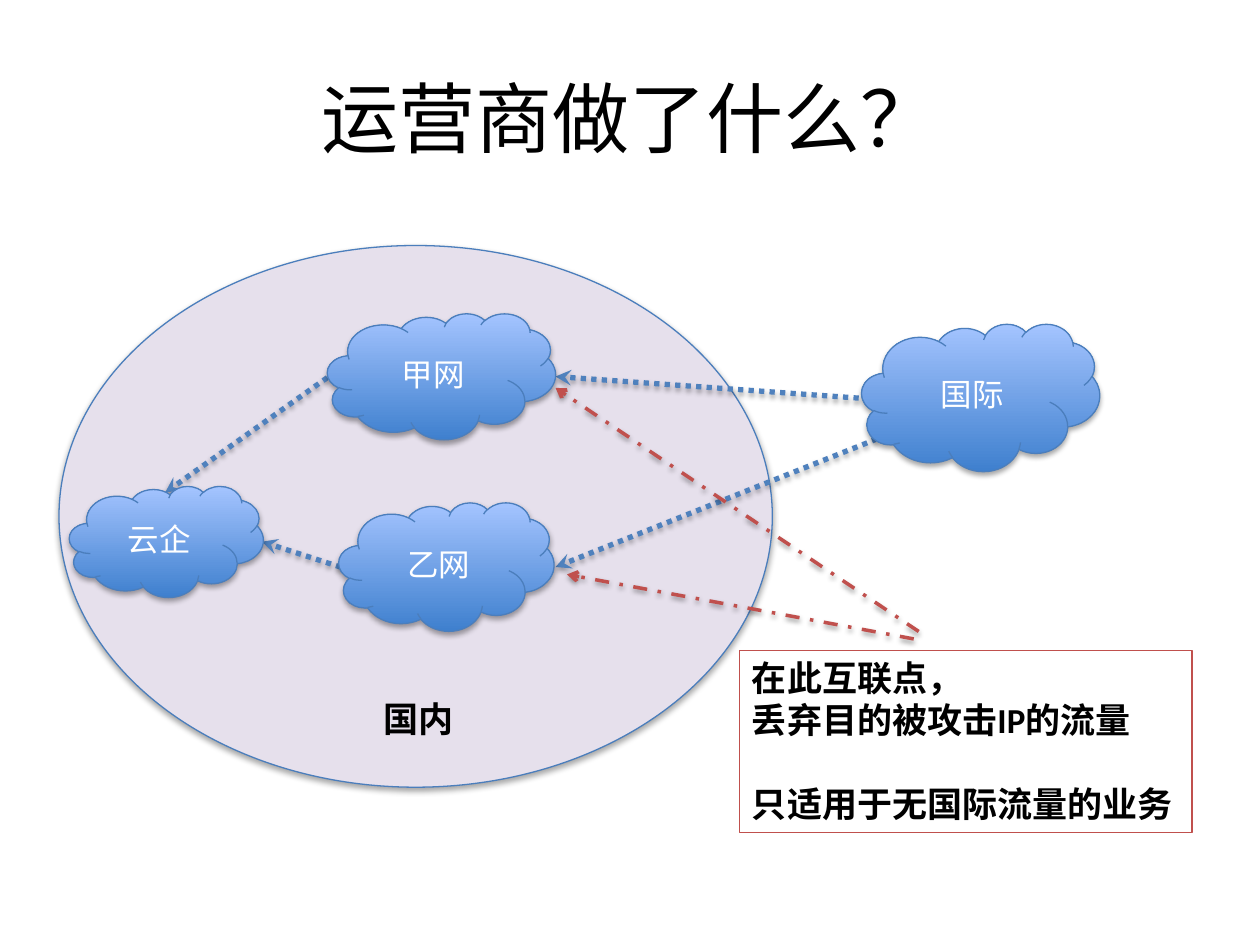
"""Builds a slide on how carriers drop attack traffic at interconnection points."""
from lxml import etree
from pptx import Presentation
from pptx.dml.color import RGBColor
from pptx.enum.dml import MSO_LINE
from pptx.enum.shapes import MSO_CONNECTOR, MSO_SHAPE
from pptx.enum.text import MSO_ANCHOR, MSO_AUTO_SIZE, PP_ALIGN
from pptx.oxml.ns import qn
from pptx.util import Cm, Pt

STRAIGHT = MSO_CONNECTOR.STRAIGHT
OVAL, CLOUD = MSO_SHAPE.OVAL, MSO_SHAPE.CLOUD
DOTTED, DASH_DOT = MSO_LINE.ROUND_DOT, MSO_LINE.DASH_DOT
MIDDLE, CENTER = MSO_ANCHOR.MIDDLE, PP_ALIGN.CENTER
FIT_SHAPE = MSO_AUTO_SIZE.SHAPE_TO_FIT_TEXT
FONT = "Calibri"
COLORS = {name: RGBColor.from_string(value) for name, value in {
    "text": "000000", "cloud_text": "FFFFFF", "region": "E6E0EC", "outline": "4B7EBC",
    "cloud_bottom": "3F80CE", "cloud_top": "A4C4FF", "traffic": "4F81BD", "drop": "C0504D",
}.items()}


def add_shadow(item, opacity, distance):
    effects = etree.SubElement(item._element.spPr, qn("a:effectLst"))
    shadow = etree.SubElement(effects, qn("a:outerShdw"), blurRad=str(Pt(3.1)),
                              dist=str(Pt(distance)), dir="5400000", rotWithShape="0")
    color = etree.SubElement(shadow, qn("a:srgbClr"), val="000000")
    etree.SubElement(color, qn("a:alpha"), val=str(opacity * 1000))


def add_link(shapes, points, color, width, dash, end, arrow):
    link = shapes.add_connector(STRAIGHT, *[Cm(value) for value in points])
    link.line.color.rgb = COLORS[color]
    link.line.width = Pt(width)
    link.line.dash_style = dash
    etree.SubElement(link.line._get_or_add_ln(), qn(end), type=arrow)
    add_shadow(link, 38, 1.6)


deck = Presentation()
deck.slide_width, deck.slide_height = Cm(25.4), Cm(19.05)
page = deck.slides.add_slide(deck.slide_layouts[5])

title = page.shapes.title
title.left, title.top, title.width, title.height = Cm(1.27), Cm(0.76), Cm(22.86), Cm(3.18)
title.text_frame.text = "运营商做了什么？"
title.text_frame.vertical_anchor = MIDDLE
heading = title.text_frame.paragraphs[0]
heading.alignment = CENTER
heading.font.name, heading.font.size = FONT, Pt(44)
heading.font.color.rgb = COLORS["text"]

region = page.shapes.add_shape(OVAL, Cm(1.19), Cm(4.95), Cm(14.38), Cm(10.92))
region.fill.solid()
region.fill.fore_color.rgb = COLORS["region"]
region.line.color.rgb = COLORS["outline"]
region.line.width = Pt(0.75)
add_shadow(region, 35, 1.8)

for points in [
    (3.33, 9.93, 6.63, 7.59),
    (5.28, 10.92, 6.86, 11.43),
    (11.2, 7.59, 17.37, 8.03),
    (11.2, 11.43, 17.65, 8.86),
]:
    add_link(page.shapes, points, "traffic", 3, DOTTED, "a:headEnd", "stealth")

for name, *bounds in [
    ("云企", 1.4, 9.8, 3.91, 2.24),
    ("国际", 17.37, 6.53, 4.8, 2.97),
    ("甲网", 6.6, 6.32, 4.6, 2.54),
    ("乙网", 6.83, 10.13, 4.34, 2.59),
]:
    cloud = page.shapes.add_shape(CLOUD, *[Cm(value) for value in bounds])
    cloud.fill.gradient()
    cloud.fill.gradient_angle = 90
    for stop, color in zip(cloud.fill.gradient_stops, ("cloud_bottom", "cloud_top")):
        stop.color.rgb = COLORS[color]
    cloud.line.color.rgb = COLORS["outline"]
    cloud.line.width = Pt(0.75)
    add_shadow(cloud, 35, 1.8)
    cloud.text_frame.text = name
    cloud.text_frame.vertical_anchor = MIDDLE
    para = cloud.text_frame.paragraphs[0]
    para.alignment = CENTER
    para.font.name, para.font.size = FONT, Pt(18)
    para.font.color.rgb = COLORS["cloud_text"]

region_label = page.shapes.add_textbox(Cm(7.49), Cm(13.94), Cm(1.96), Cm(1.12))
region_label.text_frame.text = "国内"

policy = page.shapes.add_group_shape()
for points in [(18.42, 12.88, 11.43, 11.58), (18.52, 12.73, 11.2, 7.82)]:
    add_link(policy.shapes, points, "drop", 2, DASH_DOT, "a:tailEnd", "arrow")

note = policy.shapes.add_textbox(Cm(14.91), Cm(13.11), Cm(9.12), Cm(3.68))
note.line.color.rgb = COLORS["drop"]
note.line.width = Pt(0.75)
note.text_frame.text = "在此互联点，\n丢弃目的被攻击IP的流量\n只适用于无国际流量的业务"
note.text_frame.paragraphs[-1].space_before = Pt(24)

for box in (region_label, note):
    box.text_frame.word_wrap = False
    box.text_frame.auto_size = FIT_SHAPE
    for para in box.text_frame.paragraphs:
        para.font.name, para.font.size, para.font.bold = FONT, Pt(20), True
        para.font.color.rgb = COLORS["text"]

deck.save("out.pptx")
